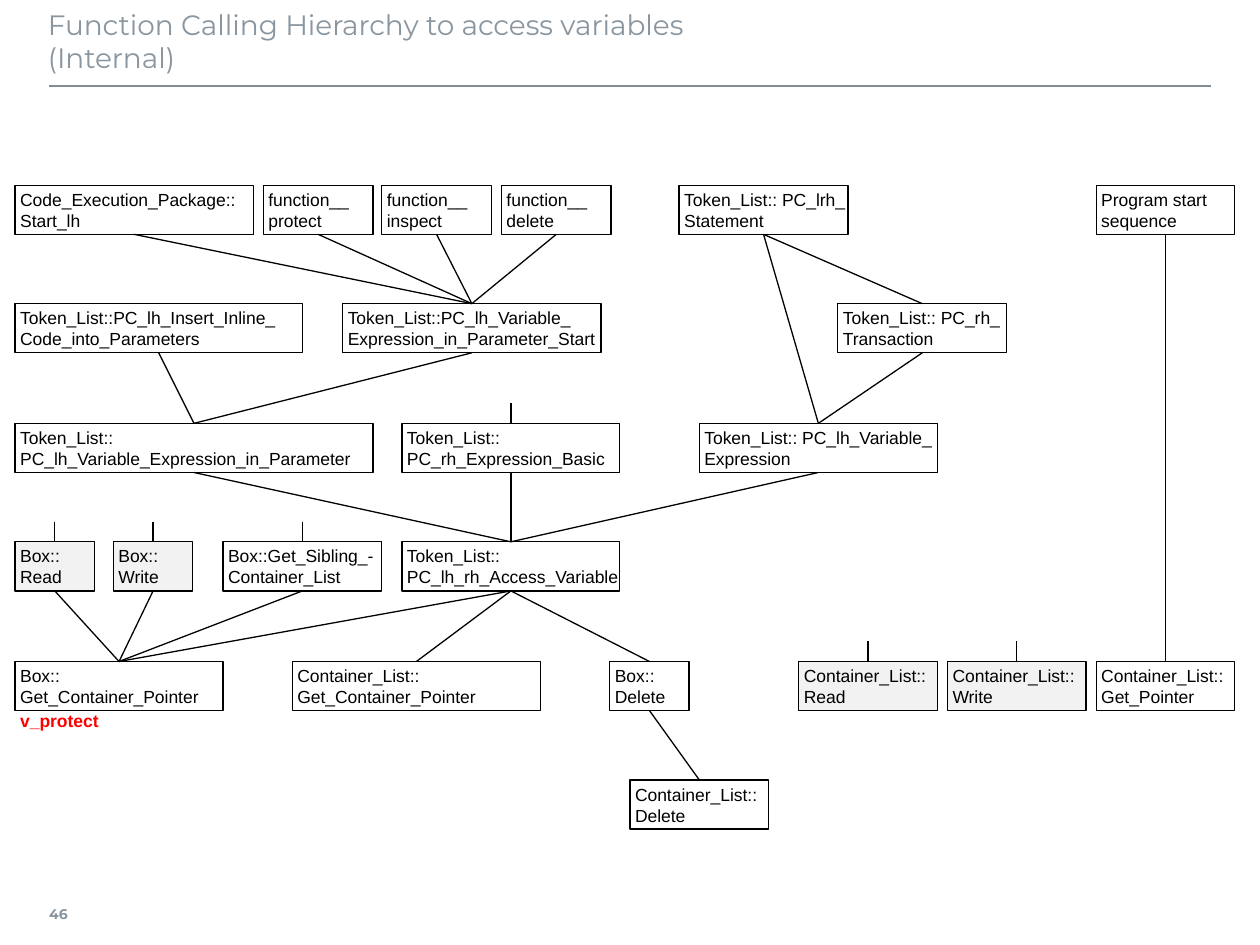
from pptx import Presentation
from pptx.dml.color import RGBColor
from pptx.enum import shapes, text
from pptx.oxml.ns import qn
from pptx.util import Inches, Pt
from lxml import etree

COLORS = {
    "ink": "000000",
    "shade": "F2F2F2",
    "heading": "8996A0",
    "rule": "808D97",
    "alert": "FF0000",
}
ROW_TOPS = [1.47, 2.41, 3.36, 4.3, 5.25, 6.19]
BOX_HEIGHT = 0.39
STUB_LENGTH = 0.16
TOP, BOTTOM = 0, 2

# key: (row, left, width, label)
FUNCTIONS = {
    "start_lh": (0, 0.12, 1.89, "Code_Execution_Package::\nStart_lh"),
    "protect": (0, 2.09, 0.87, "function__\nprotect"),
    "inspect": (0, 3.03, 0.87, "function__\ninspect"),
    "delete": (0, 3.98, 0.87, "function__\ndelete"),
    "statement": (0, 5.39, 1.34, "Token_List:: PC_lrh_\nStatement"),
    "program": (0, 8.7, 1.1, "Program start\nsequence"),
    "inline": (1, 0.12, 2.28, "Token_List::PC_lh_Insert_Inline_\nCode_into_Parameters"),
    "parameter_start": (1, 2.72, 2.05, "Token_List::PC_lh_Variable_\nExpression_in_Parameter_Start"),
    "transaction": (1, 6.65, 1.34, "Token_List:: PC_rh_\nTransaction"),
    "parameter": (2, 0.12, 2.84, "Token_List::\nPC_lh_Variable_Expression_in_Parameter"),
    "basic": (2, 3.19, 1.73, "Token_List::\nPC_rh_Expression_Basic"),
    "expression": (2, 5.55, 1.89, "Token_List:: PC_lh_Variable_\nExpression"),
    "box_read": (3, 0.12, 0.63, "Box::\nRead"),
    "box_write": (3, 0.9, 0.63, "Box::\nWrite"),
    "sibling": (3, 1.77, 1.26, "Box::Get_Sibling_-\nContainer_List"),
    "access": (3, 3.19, 1.73, "Token_List::\nPC_lh_rh_Access_Variable"),
    "box_pointer": (4, 0.12, 1.65, "Box::\nGet_Container_Pointer"),
    "list_container": (4, 2.32, 1.97, "Container_List::\nGet_Container_Pointer"),
    "box_delete": (4, 4.84, 0.63, "Box::\nDelete"),
    "list_read": (4, 6.34, 1.1, "Container_List::\nRead"),
    "list_write": (4, 7.52, 1.1, "Container_List::\nWrite"),
    "list_pointer": (4, 8.7, 1.1, "Container_List::\nGet_Pointer"),
    "list_delete": (5, 5, 1.1, "Container_List::\nDelete"),
}
SHADED = {"box_read", "box_write", "list_read", "list_write"}
CALLED_FROM_ELSEWHERE = ["basic", "box_read", "box_write", "sibling", "list_read", "list_write"]
CALLS = {
    "start_lh": ["parameter_start"],
    "protect": ["parameter_start"],
    "inspect": ["parameter_start"],
    "delete": ["parameter_start"],
    "statement": ["expression", "transaction"],
    "program": ["list_pointer"],
    "inline": ["parameter"],
    "parameter_start": ["parameter"],
    "transaction": ["expression"],
    "parameter": ["access"],
    "basic": ["access"],
    "expression": ["access"],
    "box_read": ["box_pointer"],
    "box_write": ["box_pointer"],
    "sibling": ["box_pointer"],
    "access": ["box_pointer", "list_container", "box_delete"],
    "box_delete": ["list_delete"],
}


def rgb(name):
    return RGBColor.from_string(COLORS[name])


def write(shape, words, size, font, color, margins, bold=False, wrap=False,
          anchor=text.MSO_ANCHOR.MIDDLE):
    frame = shape.text_frame
    frame.word_wrap = wrap
    frame.auto_size = text.MSO_AUTO_SIZE.NONE
    frame.vertical_anchor = anchor
    (frame.margin_left, frame.margin_top,
     frame.margin_right, frame.margin_bottom) = map(Inches, margins)
    paragraph = frame.paragraphs[0]
    paragraph.text = words
    paragraph.alignment = text.PP_ALIGN.LEFT
    for run in paragraph.runs:
        run.font.size = Pt(size)
        run.font.name = font
        run.font.bold = bold
        run.font.color.rgb = rgb(color)


def add_label(slide, left, top, width, height, words, **style):
    box = slide.shapes.add_textbox(*map(Inches, (left, top, width, height)))
    write(box, words, **style)


def add_function(slide, key, style):
    row, left, width, label = FUNCTIONS[key]
    shape = slide.shapes.add_shape(
        shapes.MSO_SHAPE.RECTANGLE,
        *map(Inches, (left, ROW_TOPS[row], width, BOX_HEIGHT)))
    shape.shadow.inherit = False
    if key in SHADED:
        shape.fill.solid()
        shape.fill.fore_color.rgb = rgb("shade")
    else:
        shape.fill.background()
    shape.line.color.rgb = rgb("ink")
    shape.line.width = Pt(0.75)
    write(shape, label, color="ink", **style)
    return shape


def add_line(slide, start=(0, 0), end=(0, 0), color="ink", width=0.75):
    line = slide.shapes.add_connector(
        shapes.MSO_CONNECTOR.STRAIGHT, *map(Inches, (*start, *end)))
    line.line.color.rgb = rgb(color)
    line.line.width = Pt(width)
    etree.SubElement(line._element.spPr, qn("a:effectLst"))
    return line


def add_call(slide, caller, callee):
    line = add_line(slide)
    line.begin_connect(caller, BOTTOM)
    line.end_connect(callee, TOP)


def add_stub(slide, key, callee):
    """Short line into the top of a box whose callers are not drawn."""
    row, left, width, _ = FUNCTIONS[key]
    center, top = left + width / 2, ROW_TOPS[row]
    line = add_line(slide, (center, top - STUB_LENGTH), (center, top))
    line.end_connect(callee, TOP)
    line.begin_x = line.end_x


def main():
    presentation = Presentation()
    presentation.slide_width = Inches(10)
    presentation.slide_height = Inches(7.5)
    slide = presentation.slides.add_slide(presentation.slide_layouts[6])

    add_line(slide, (0.39, 0.68), (9.61, 0.68), "rule", 1)
    add_label(slide, 0.39, 7.06, 0.35, 0.39, "46", size=8, font="Montserrat",
              color="heading", bold=True, margins=(0, 0.05, 0.08, 0.05))
    add_label(slide, 0.38, 0.01, 9.21, 0.63,
              "Function Calling Hierarchy to access variables\n(Internal)",
              size=16, font="Montserrat", color="heading", wrap=True,
              margins=(0, 0.05, 0.1, 0.05), anchor=text.MSO_ANCHOR.TOP)

    style = {"size": 10, "font": "Arial", "margins": [0.04] * 4}
    boxes = {key: add_function(slide, key, style) for key in FUNCTIONS}
    for caller, callees in CALLS.items():
        for callee in callees:
            add_call(slide, boxes[caller], boxes[callee])
    for key in CALLED_FROM_ELSEWHERE:
        add_stub(slide, key, boxes[key])
    add_label(slide, 0.12, 5.64, 0.87, 0.16, "v_protect", color="alert",
              bold=True, **style)

    presentation.save("out.pptx")


if __name__ == "__main__":
    main()
